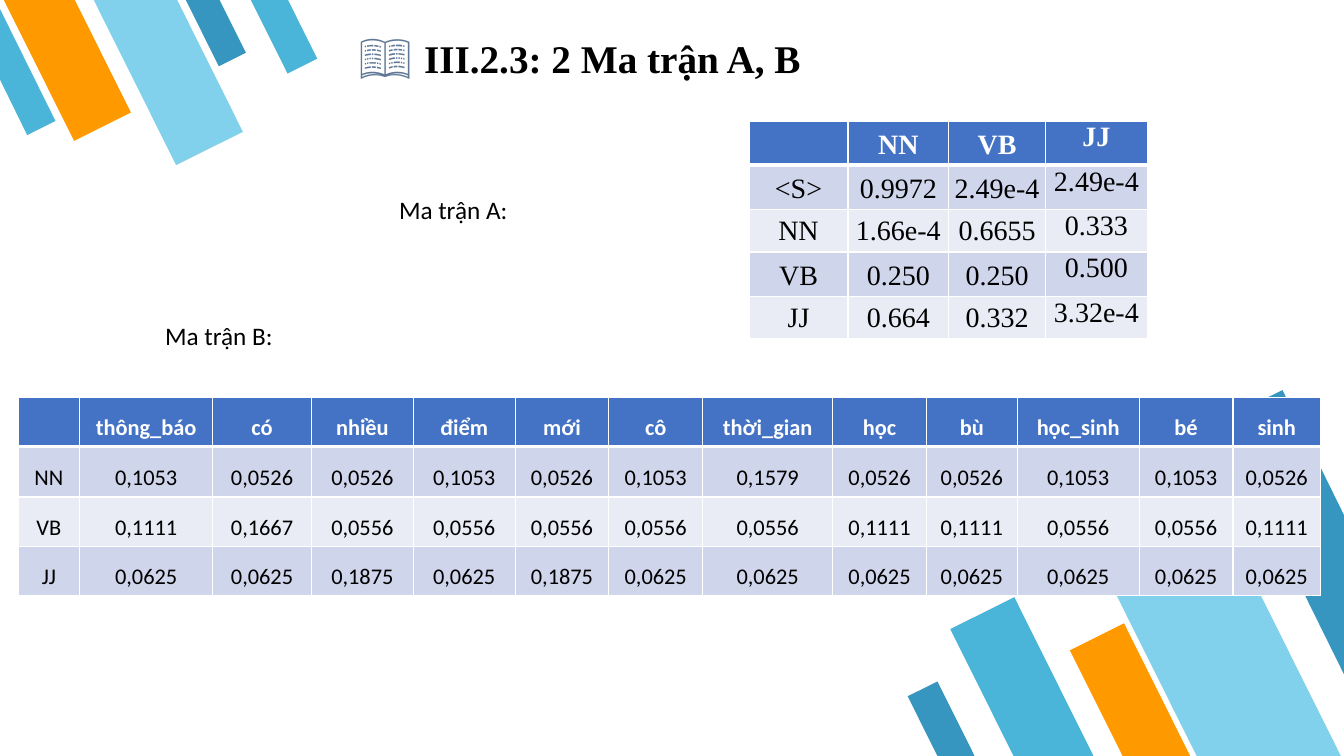
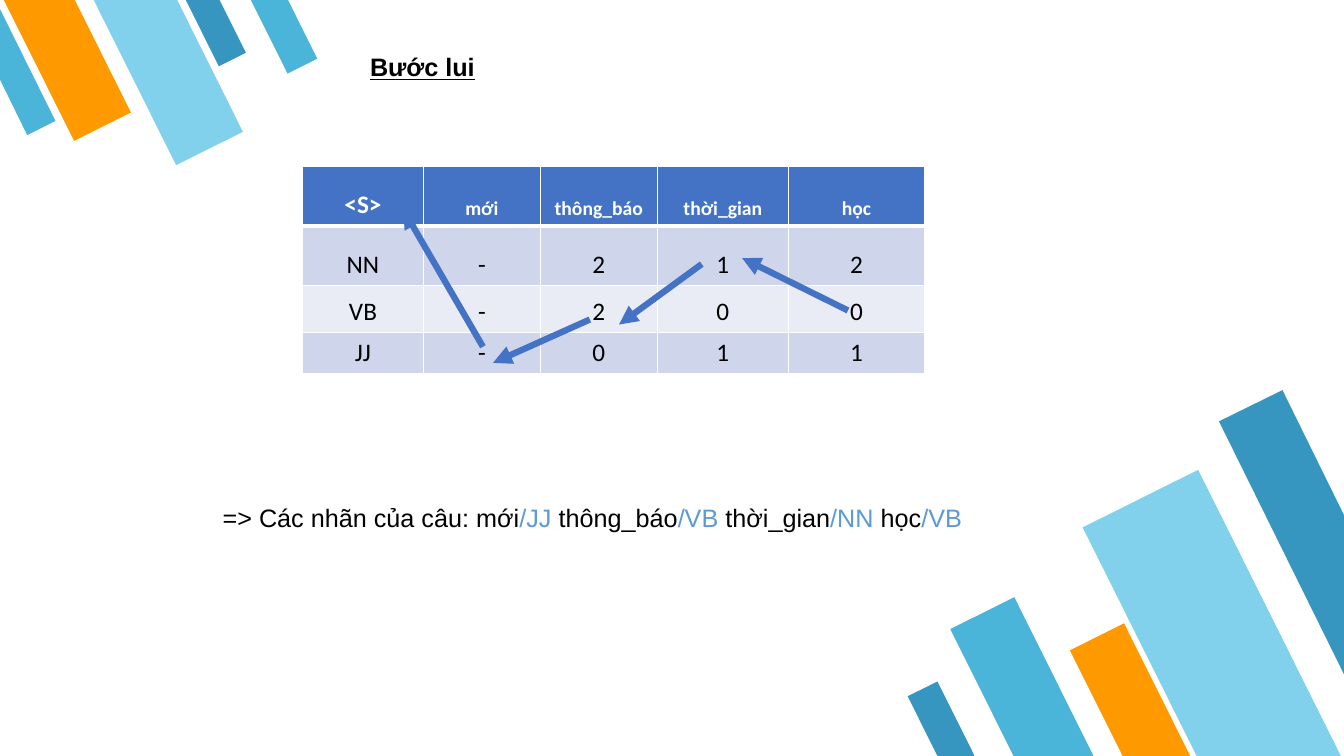
"""Builds two slides on tagging matrices and the backward step."""
from lxml.etree import SubElement
from pptx import Presentation
from pptx.dml.color import RGBColor as Rgb
from pptx.enum.shapes import MSO_CONNECTOR as Link, MSO_SHAPE as Kind
from pptx.enum.text import MSO_ANCHOR as Anchor, MSO_AUTO_SIZE as Fit, PP_ALIGN as Align
from pptx.oxml.ns import qn
from pptx.util import Inches, Pt

SIZE = 13.33, 7.5
THEME = {
    "sky": "4BB5D9", "pale": "81D1EC", "gold": "FF9900", "deep": "3796BF",
    "head": "4472C4", "odd": "CFD5EA", "even": "E9EBF5",
    "white": "FFFFFF", "black": "000000", "slate": "607896", "tag": "5B9BD5",
    "serif": "Times New Roman", "sans": "Arial", "plain": "Calibri",
    "icon": 36, "title": 28, "large": 20, "body": 18, "cell": 16, "small": 14,
}

BARS = [
    (153.5, [("sky", 9.78, 5.99, 0.71, 1.76), ("pale", 11.38, 4.78, 1.28, 3.18),
             ("gold", 10.91, 6.24, 0.6, 1.48), ("deep", 9.17, 6.79, 0.33, 0.83)]),
    (333.5, [("deep", 1.99, -0.11, 0.3, 0.74), ("gold", 0.35, -0.24, 0.63, 1.58),
             ("pale", 1.3, -0.26, 0.74, 1.83), ("sky", 2.65, -0.13, 0.33, 0.83)]),
]
EDGES = [
    ("deep", [(12.72, 3.87), (12.09, 4.18), (13.33, 6.69), (13.33, 5.11)]),
    ("sky", [(0.27, 1.34), (0.55, 1.2), (0, 0.09), (0, 0.79)]),
]

MOVES = {
    "at": (7.43, 1.2), "cols": [0.98, 1, 0.96, 1.01],
    "rows": [0.44, 0.44, 0.42, 0.44, 0.42],
    "font": "serif", "sizes": ("large", "large", "large"),
    "pad": (0.01, 0.01, 0.01, 0.05), "top": 3,
    "data": [
        ["", "NN", "VB", "JJ"],
        ["<S>", "0.9972", "2.49e-4", "2.49e-4"],
        ["NN", "1.66e-4", "0.6655", "0.333"],
        ["VB", "0.250", "0.250", "0.500"],
        ["JJ", "0.664", "0.332", "3.32e-4"],
    ],
}
WORDS = {
    "at": (0.18, 3.94),
    "cols": [0.61, 1.32, 0.98, 1.01, 1.01, 0.93, 0.93, 1.29, 0.93, 0.9, 1.21, 0.93, 0.87],
    "rows": [0.49, 0.5, 0.49, 0.49],
    "font": "plain", "sizes": ("cell", "cell", "cell"),
    "data": [
        ["", "thông_báo", "có", "nhiều", "điểm", "mới", "cô", "thời_gian", "học", "bù",
         "học_sinh", "bé", "sinh"],
        ["NN", "0,1053", "0,0526", "0,0526", "0,1053", "0,0526", "0,1053", "0,1579",
         "0,0526", "0,0526", "0,1053", "0,1053", "0,0526"],
        ["VB", "0,1111", "0,1667", "0,0556", "0,0556", "0,0556", "0,0556", "0,0556",
         "0,1111", "0,1111", "0,0556", "0,0556", "0,1111"],
        ["JJ", "0,0625", "0,0625", "0,1875", "0,0625", "0,1875", "0,0625", "0,0625",
         "0,0625", "0,0625", "0,0625", "0,0625", "0,0625"],
    ],
}
STEPS = {
    "at": (3, 1.65), "cols": [1.2, 1.16, 1.16, 1.3, 1.35],
    "rows": [0.59, 0.59, 0.47, 0.4],
    "font": "plain", "sizes": ("body", "small", "body"),
    "data": [
        ["<S>", "mới", "thông_báo", "thời_gian", "học"],
        ["NN", "-", "2", "1", "2"],
        ["VB", "-", "2", "0", "0"],
        ["JJ", "-", "0", "1", "1"],
    ],
}

PLAIN = {"name": "plain", "size": "body", "color": "black"}
SANS = {**PLAIN, "name": "sans"}
HEAD = {"name": "serif", "size": "title", "color": "black", "bold": True}
ICON = {"name": "serif", "size": "icon", "color": "slate", "bold": False}
TAG = {**SANS, "color": "tag"}
SLIDES = [
    {
        "title": ((3.46, 0.18, 8.69, 0.71),
                  [("📖 ", ICON), ("III.2.3: 2 Ma trận A, B", HEAD)]),
        "tables": [MOVES, WORDS],
        "arrows": [],
        "notes": [((3.86, 1.88, 3, 0.4), [("Ma trận A:", PLAIN)]),
                  ((1.54, 3.13, 3, 0.4), [("Ma trận B:", PLAIN)])],
    },
    {
        "title": ((3.57, 0.46, 3, 0.4),
                  [("Bước lui", {**SANS, "bold": True, "underline": True})]),
        "tables": [STEPS],
        "arrows": [(8.41, 3.08, 7.36, 2.56), (6.96, 2.62, 6.14, 3.22),
                   (5.85, 3.17, 4.89, 3.6), (4.79, 3.44, 4, 2.08)],
        "notes": [((2.11, 4.93, 7.9, 0.4), [
            ("=> Các nhãn của câu: mới", SANS), ("/JJ ", TAG),
            ("thông_báo", SANS), ("/VB ", TAG),
            ("thời_gian", SANS), ("/NN ", TAG), ("học", SANS), ("/VB", TAG)])],
    },
]


def inches(vals):
    return [Inches(v) for v in vals]


def tint(name):
    return Rgb.from_string(THEME[name])


def paint(item, name):
    item.fill.solid()
    item.fill.fore_color.rgb = tint(name)


def write(frame, runs, align=Align.LEFT):
    para = frame.paragraphs[0]
    para.alignment = align
    for text, style in runs:
        run = para.add_run()
        run.text = text
        for key, val in style.items():
            if key == "color":
                run.font.color.rgb = tint(val)
            elif key == "size":
                run.font.size = Pt(THEME[val])
            else:
                setattr(run.font, key, THEME[val] if key == "name" else val)


def place(shape, box, runs):
    for key, val in zip(("left", "top", "width", "height"), inches(box)):
        setattr(shape, key, val)
    frame = shape.text_frame
    for key, val in {"word_wrap": True, "auto_size": Fit.NONE,
                     "vertical_anchor": Anchor.TOP}.items():
        setattr(frame, key, val)
    write(frame, runs)


def decorate(slide):
    bands = []
    for turn, bars in BARS:
        for color, *box in bars:
            bar = slide.shapes.add_shape(Kind.FLOWCHART_MANUAL_INPUT, *inches(box))
            bar.rotation = turn
            bar.element.spPr.xfrm.set("flipH", "1")
            bands.append((bar, color))
    for color, points in EDGES:
        first, *rest = [inches(p) for p in points]
        pen = slide.shapes.build_freeform(*first)
        pen.add_line_segments(rest)
        bands.append((pen.convert_to_shape(), color))
    tree = slide.slide_layout.shapes.element
    for i, (band, color) in enumerate(bands):
        paint(band, color)
        band.line.fill.background()
        band.shadow.inherit = False
        tree.insert(2 + i, band.element)


def rule(cell, head):
    props = cell._tc.get_or_add_tcPr()
    sides = {"L": 1, "R": 1, "T": 1, "B": 3} if head else {"L": 1, "R": 1, "B": 1}
    for i, (side, width) in enumerate(sides.items()):
        line = SubElement(props, qn("a:ln" + side), w=str(Pt(width)))
        fill = SubElement(line, qn("a:solidFill"))
        SubElement(fill, qn("a:srgbClr"), val=THEME["white"])
        props.insert(i, line)


def grid(slide, plan):
    data, cols, rows = (plan[k] for k in ("data", "cols", "rows"))
    box = inches((*plan["at"], sum(cols), sum(rows)))
    table = slide.shapes.add_table(len(rows), len(cols), *box).table
    for col, width in zip(table.columns, cols):
        col.width = Inches(width)
    for row, height in zip(table.rows, rows):
        row.height = Inches(height)
    corner, top, body = plan["sizes"]
    pads = ("margin_left", "margin_top", "margin_right", "margin_bottom")
    for r, line in enumerate(data):
        for c, text in enumerate(line):
            cell, head = table.cell(r, c), r == 0
            paint(cell, "head" if head else "odd" if r % 2 else "even")
            rule(cell, head)
            cell.vertical_anchor = Anchor.TOP if c == plan.get("top") else Anchor.BOTTOM
            if not text:
                continue
            for key, val in zip(pads, plan.get("pad", ())):
                setattr(cell, key, Inches(val))
            size = body if not head else top if c else corner
            style = {"name": plan["font"], "size": size, "bold": head,
                     "color": "white" if head else "black"}
            write(cell.text_frame, [(text, style)], Align.CENTER)


def arrow(slide, ends):
    link = slide.shapes.add_connector(Link.STRAIGHT, *inches(ends))
    link.line.color.rgb = tint("head")
    link.line.width = Pt(4.5)
    SubElement(link.line._get_or_add_ln(), qn("a:tailEnd"), type="triangle")
    SubElement(link.element.spPr, qn("a:effectLst"))


def main():
    deck = Presentation()
    deck.slide_width, deck.slide_height = inches(SIZE)
    layout = deck.slide_layouts[5]
    for i, plan in enumerate(SLIDES):
        slide = deck.slides.add_slide(layout)
        if i == 0:
            decorate(slide)
        place(slide.shapes.title, *plan["title"])
        for table in plan["tables"]:
            grid(slide, table)
        for ends in plan["arrows"]:
            arrow(slide, ends)
        for box, runs in plan["notes"]:
            place(slide.shapes.add_textbox(*inches(box)), box, runs)
    deck.save("out.pptx")


if __name__ == "__main__":
    main()
